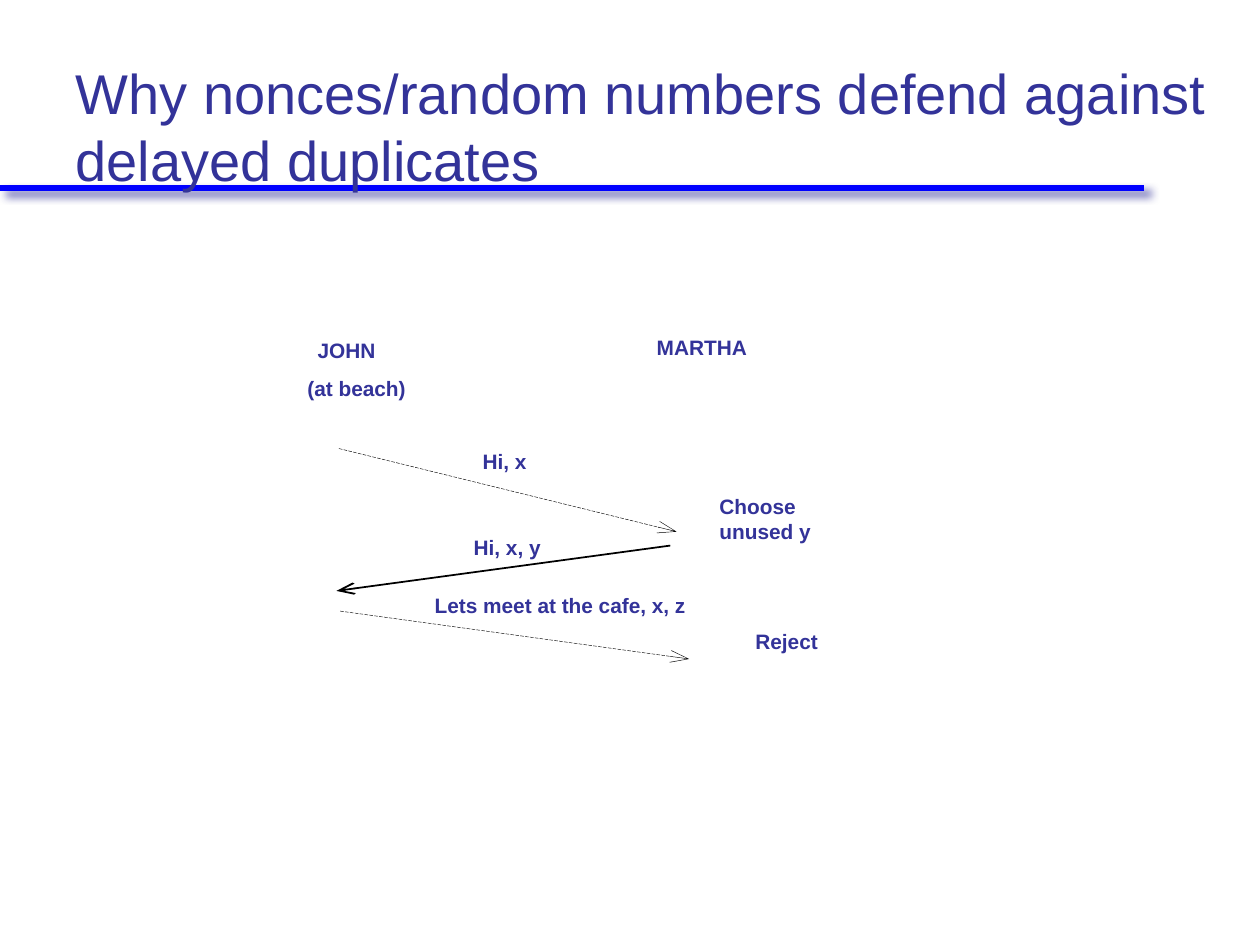
import pptx
import pptx.dml.color
import pptx.enum.dml
import pptx.enum.shapes
import pptx.enum.text
import pptx.oxml
import pptx.oxml.ns
import pptx.util

Inches = pptx.util.Inches
Pt = pptx.util.Pt
Align = pptx.enum.text.PP_ALIGN
Dash = pptx.enum.dml.MSO_LINE
NS = pptx.oxml.ns.nsdecls("a")


def color(hex_text):
    return pptx.dml.color.RGBColor.from_string(hex_text)


class SlideBuilder:
    font = "Arial"
    ink = "333399"
    label_size = 11.9

    def __init__(self, prs):
        self.s = prs.slides.add_slide(prs.slide_layouts[5])

    def run(self, p, text, size, bold):
        r = p.add_run()
        r.text = text
        r.font.name = self.font
        r.font.size = Pt(size)
        r.font.bold = bold
        r.font.color.rgb = color(self.ink)

    def title(self, text, left, top, width, height):
        sp = self.s.shapes.title
        sp.left, sp.top = Inches(left), Inches(top)
        sp.width, sp.height = Inches(width), Inches(height)
        tf = sp.text_frame
        tf.word_wrap = True
        tf.auto_size = pptx.enum.text.MSO_AUTO_SIZE.NONE
        tf.vertical_anchor = pptx.enum.text.MSO_ANCHOR.BOTTOM
        p = tf.paragraphs[0]
        p.alignment = Align.LEFT
        self.run(p, text, 32, False)

    def bring_title_to_front(self):
        element = self.s.shapes.title.element
        element.getparent().append(element)

    def line(self, start, end, hex_text, width, effects=""):
        """Draw a straight line; effects is the XML inside its effect list."""
        x1, y1, x2, y2 = (Inches(v) for v in (*start, *end))
        cxn = self.s.shapes.add_connector(
            pptx.enum.shapes.MSO_CONNECTOR.STRAIGHT, x1, y1, x2, y2)
        cxn.line.color.rgb = color(hex_text)
        cxn.line.width = Pt(width)
        cxn.element.spPr.append(pptx.oxml.parse_xml(
            f"<a:effectLst {NS}>{effects}</a:effectLst>"))
        return cxn

    def title_rule(self, start, end):
        shadow = (
            f'<a:outerShdw blurRad="{Pt(5)}" dist="{Pt(4.2)}" dir="2700000">'
            f'<a:srgbClr val="{self.ink}"><a:alpha val="75000"/></a:srgbClr>'
            "</a:outerShdw>")
        self.line(start, end, "0000FF", 3.5, shadow)

    def arrow(self, start, end, width, dash=None):
        cxn = self.line(start, end, "000000", width)
        if dash is not None:
            cxn.line.dash_style = dash
        cxn.line._get_or_add_ln().append(pptx.oxml.parse_xml(
            f'<a:tailEnd {NS} type="arrow" w="med" len="lg"/>'))

    def label(self, left, top, width, height, *paragraphs, line_spacing=None):
        """Each paragraph is (text, alignment, left indent, points before)."""
        box = self.s.shapes.add_textbox(
            Inches(left), Inches(top), Inches(width), Inches(height))
        tf = box.text_frame
        tf.word_wrap = True
        tf.margin_left = tf.margin_right = tf.margin_top = tf.margin_bottom = 0
        for i, (text, align, indent, before) in enumerate(paragraphs):
            p = tf.add_paragraph() if i else tf.paragraphs[0]
            p.alignment = align
            if indent:
                p._p.get_or_add_pPr().set("marL", str(Inches(indent)))
            if before:
                p.space_before = Pt(before)
            if line_spacing:
                p.line_spacing = Pt(line_spacing)
            self.run(p, text, self.label_size, True)


def main():
    prs = pptx.Presentation()
    prs.slide_width, prs.slide_height = Inches(10), Inches(7.5)
    b = SlideBuilder(prs)

    b.title("Why nonces/random numbers defend against delayed duplicates",
            0.5, 0.33, 9.33, 1.25)
    b.title_rule((0, 1.49), (9.08, 1.49))

    b.arrow((2.69, 3.56), (5.37, 4.22), 0.25, Dash.LONG_DASH)
    b.arrow((5.32, 4.33), (2.67, 4.69), 0.98)
    b.arrow((2.7, 4.85), (5.47, 5.23), 0.25, Dash.LONG_DASH)

    b.label(2.43, 2.68, 0.98, 0.87,
            ("JOHN", Align.LEFT, 0.09, 0),
            ("(at beach)", Align.LEFT, 0.01, 7.7))
    b.label(4.55, 2.66, 2.04, 0.2, ("MARTHA", Align.CENTER, 0, 0))
    b.label(3.82, 3.56, 0.45, 0.49, ("Hi, x", Align.LEFT, 0.01, 0))
    b.label(3.75, 4.24, 0.67, 0.49, ("Hi, x, y", Align.LEFT, 0.01, 0))
    b.label(5.7, 3.92, 0.88, 0.72,
            ("Choose unused y", Align.LEFT, 0.01, 0), line_spacing=14.1)
    b.label(3.44, 4.7, 3.05, 0.59,
            ("Lets meet at the cafe, x, z", Align.LEFT, 0.01, 0),
            ("Reject", Align.RIGHT, 0, 6.4))

    b.bring_title_to_front()
    prs.save("out.pptx")


if __name__ == "__main__":
    main()
